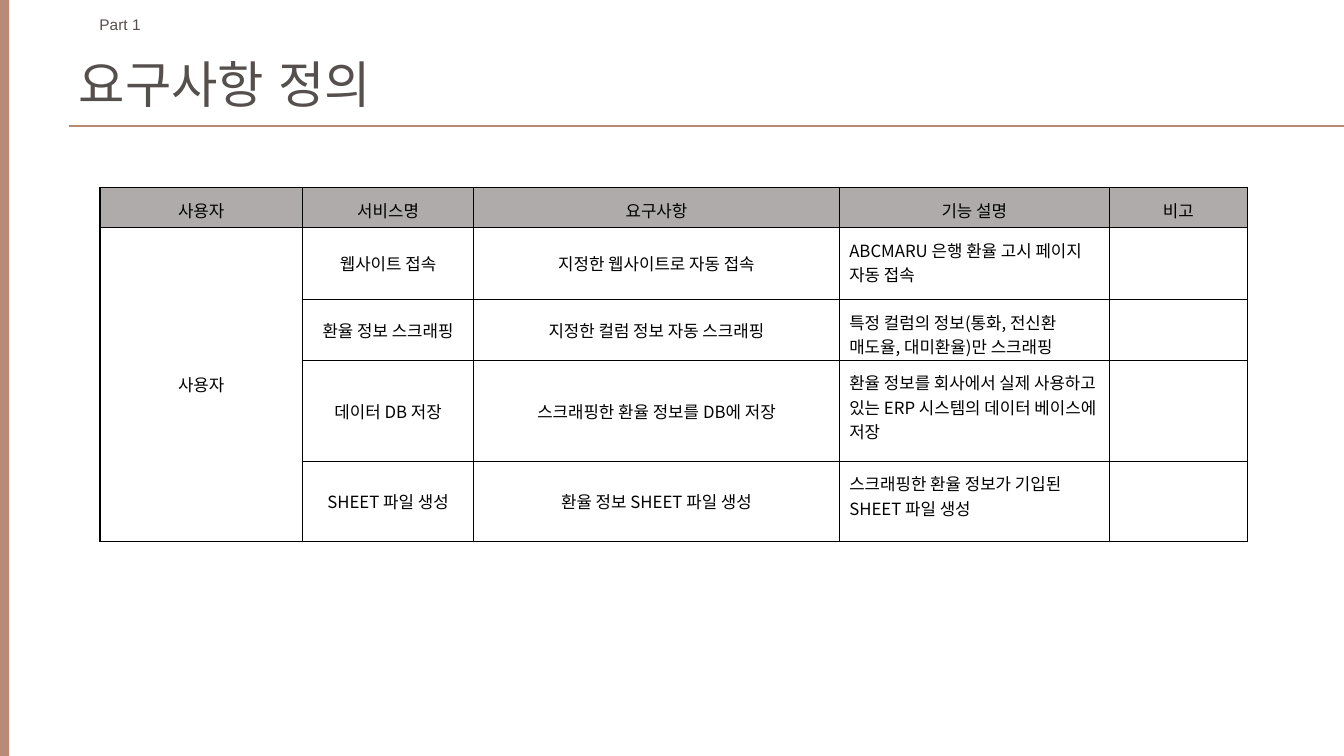
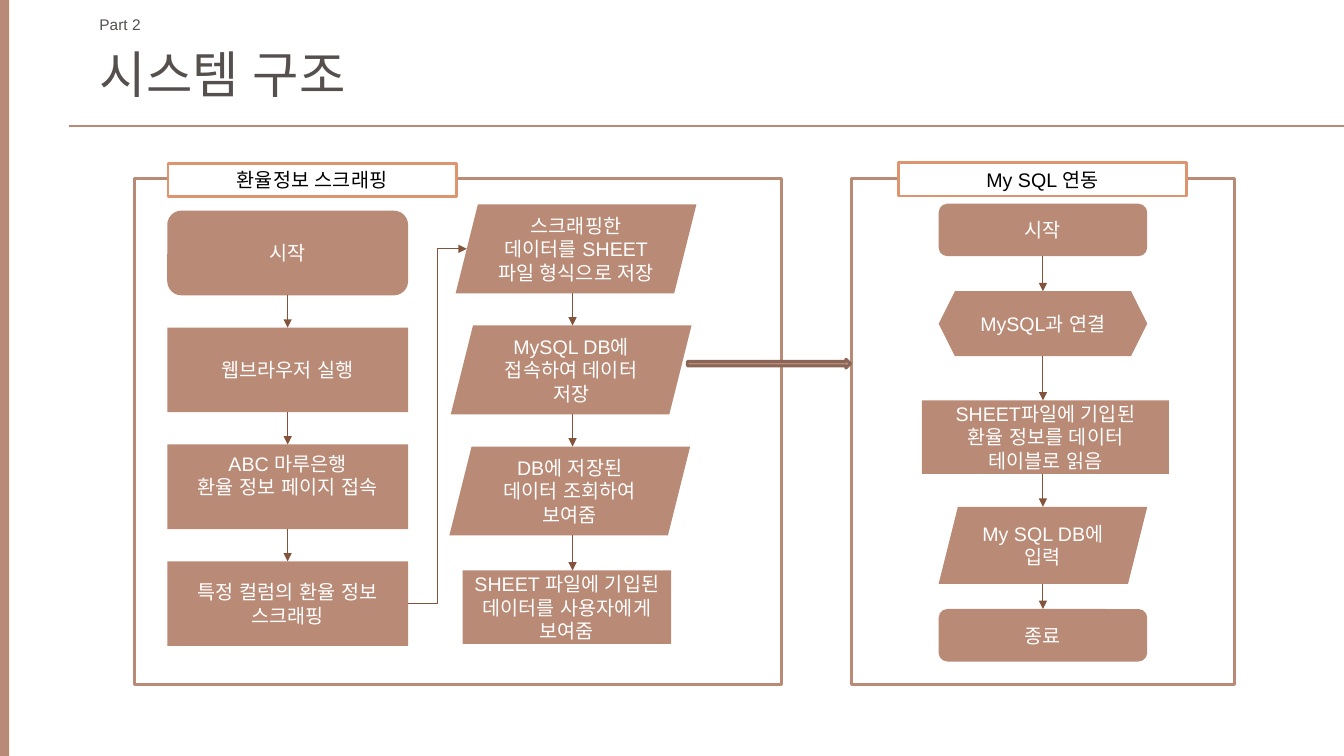
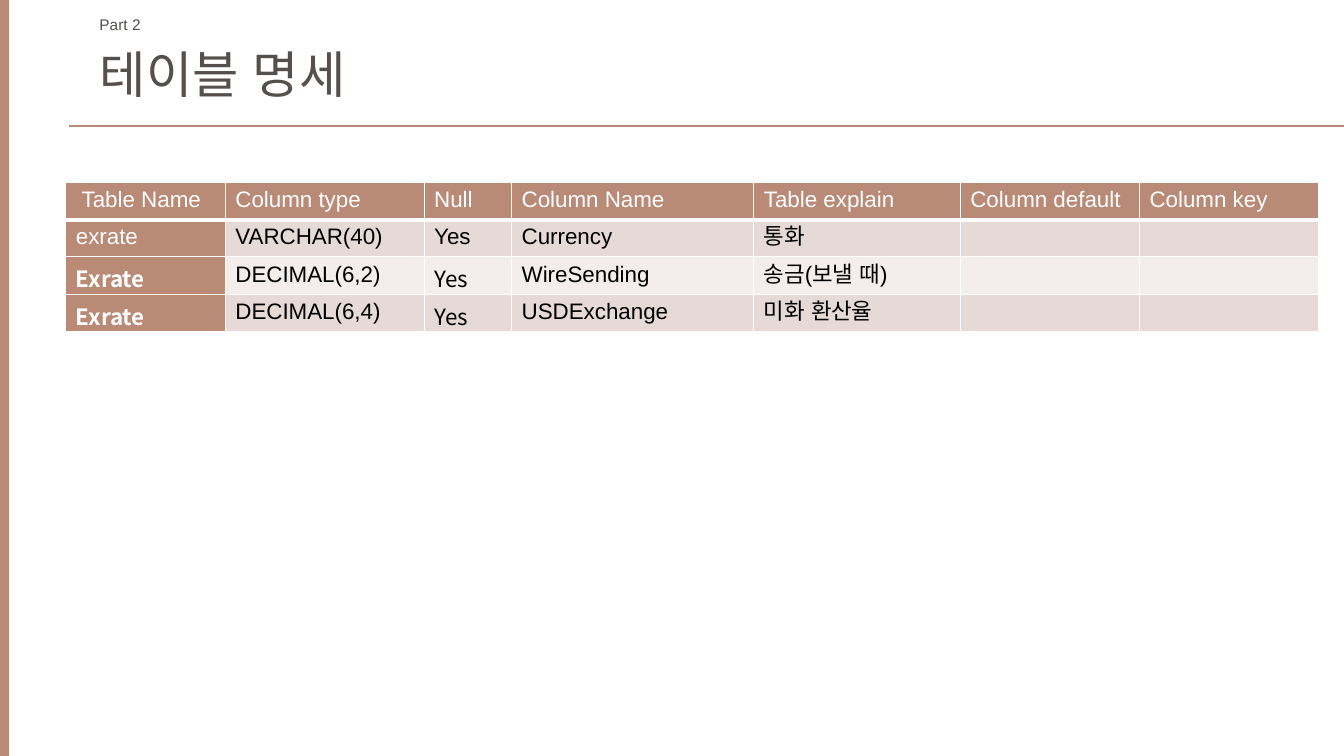
from lxml import etree
from pptx import Presentation
from pptx.dml.color import RGBColor
from pptx.enum.shapes import MSO_CONNECTOR, MSO_SHAPE
from pptx.enum.text import MSO_ANCHOR, MSO_AUTO_SIZE, PP_ALIGN
from pptx.oxml.ns import qn
from pptx.util import Pt

RECT, ROUND = MSO_SHAPE.RECTANGLE, MSO_SHAPE.ROUNDED_RECTANGLE
SLANT, HEX = MSO_SHAPE.PARALLELOGRAM, MSO_SHAPE.HEXAGON
ARROW = MSO_SHAPE.RIGHT_ARROW
LINE, ELBOW = MSO_CONNECTOR.STRAIGHT, MSO_CONNECTOR.ELBOW
TOP, MID = MSO_ANCHOR.TOP, MSO_ANCHOR.MIDDLE
LEFT, CENTER = PP_ALIGN.LEFT, PP_ALIGN.CENTER
FIXED = MSO_AUTO_SIZE.NONE

WIDE, HIGH = 960, 540
CLAY, RUST, ORANGE, BROWN = "B98A76", "84533C", "DE956D", "896657"
INK, BLACK, WHITE, GRAY = "554F4D", "000000", "FFFFFF", "AFABAB"
ROSE, PALE = "E6DAD6", "F3EDEC"
SANS, NOTO = "Arial", "Noto Sans CJK KR"


def tint(code):
    return RGBColor.from_string(code)


def bounds(item):
    """Return left, top, right and bottom in points."""
    x, y, w, h = (n / Pt(1) for n in
                  (item.left, item.top, item.width, item.height))
    return x, y, x + w, y + h


def write(par, text, size, color, font=SANS, bold=False, align=LEFT):
    par.alignment = align
    run = par.add_run()
    run.text = text
    face = run.font
    face.size, face.name, face.bold = Pt(size), font, bold
    face.color.rgb = tint(color)
    etree.SubElement(run._r.get_or_add_rPr(), qn("a:ea"), typeface=font)


def shape(slide, kind, box, fill, line=None):
    item = slide.shapes.add_shape(kind, *map(Pt, box))
    item.shadow.inherit = False
    item.fill.solid()
    item.fill.fore_color.rgb = tint(fill)
    if line:
        item.line.color.rgb = tint(line)
        item.line.width = Pt(2)
    else:
        item.line.fill.background()
    return item


def label(item, lines, color):
    frame = item.text_frame
    frame.word_wrap = True
    frame.vertical_anchor = MID
    for i, text in enumerate(lines):
        par = frame.add_paragraph() if i else frame.paragraphs[0]
        write(par, text, 14, color, align=CENTER)


def link(slide, kind, ends, color, head=True):
    wire = slide.shapes.add_connector(kind, *map(Pt, ends))
    wire.line.color.rgb = tint(color)
    wire.line.width = Pt(0.75)
    if head:
        etree.SubElement(wire.line._get_or_add_ln(), qn("a:tailEnd"),
                         type="triangle")
    etree.SubElement(wire._element.spPr, qn("a:effectLst"))
    return wire


def frame(deck, part, title, left, top):
    """Add a slide with the side bar, rule, part label and title."""
    slide = deck.slides.add_slide(deck.slide_layouts[5])
    shape(slide, RECT, (0, 0, 6.5, HIGH), CLAY)
    link(slide, LINE, (49, 90, WIDE, 90), CLAY, False)
    head = slide.shapes.title
    head.left, head.top, head.width, head.height = map(
        Pt, (left, top, 258, 51))
    tag = slide.shapes.add_textbox(*map(Pt, (64, 7, 44, 21)))
    for item, text, size in ((head, title, 36), (tag, part, 11)):
        body = item.text_frame
        body.auto_size = FIXED
        body.word_wrap = False
        body.vertical_anchor = TOP
        write(body.paragraphs[0], text, size, INK)
    return slide


def edge(cell, color, sides):
    props = cell._tc.get_or_add_tcPr()
    for i, (side, width) in enumerate(sides):
        ln = etree.Element(qn("a:ln" + side), w=str(Pt(width)))
        fill = etree.SubElement(ln, qn("a:solidFill"))
        etree.SubElement(fill, qn("a:srgbClr"), val=color)
        props.insert(i, ln)


def grid(slide, left, top, cols, rows, color, rule, style):
    """Add a table; style(row, col) gives fill, text format, anchor, inset."""
    shell = slide.shapes.add_table(len(rows), len(cols), Pt(left), Pt(top),
                                   Pt(sum(cols)), Pt(sum(h for h, _ in rows)))
    table = shell.table
    table.first_row = table.horz_banding = False
    for col, width in zip(table.columns, cols):
        col.width = Pt(width)
    for r, (height, texts) in enumerate(rows):
        table.rows[r].height = Pt(height)
        for c, text in enumerate(texts):
            cell = table.cell(r, c)
            fill, form, anchor, pad = style(r, c)
            cell.vertical_anchor = anchor
            cell.margin_top = Pt(pad)
            cell.margin_bottom = Pt(pad if anchor == MID else 0)
            if fill:
                cell.fill.solid()
                cell.fill.fore_color.rgb = tint(fill)
            else:
                cell.fill.background()
            par = cell.text_frame.paragraphs[0]
            if text:
                write(par, text, **form)
            else:
                etree.SubElement(par._p, qn("a:endParaRPr"),
                                 sz=str(form["size"] * 100))
            edge(cell, color, (("L", 1), ("R", 1),
                               ("T", rule if r == 1 else 1),
                               ("B", rule if r == 0 else 1)))
    return table


def needs(deck):
    slide = frame(deck, "Part 1", "요구사항 정의", 49, 34)
    rows = (
        (28.5, ("사용자", "서비스명", "요구사항", "기능 설명", "비고")),
        (51.5, ("사용자", "웹사이트 접속", "지정한 웹사이트로 자동 접속",
                "ABCMARU 은행 환율 고시 페이지 자동 접속", "")),
        (43.5, ("", "환율 정보 스크래핑", "지정한 컬럼 정보 자동 스크래핑",
                "특정 컬럼의 정보(통화, 전신환 매도율, 대미환율)만 스크래핑", "")),
        (72, ("", "데이터 DB 저장", "스크래핑한 환율 정보를 DB에 저장",
              "환율 정보를 회사에서 실제 사용하고 있는 ERP 시스템의 "
              "데이터 베이스에 저장", "")),
        (57.5, ("", "SHEET 파일 생성", "환율 정보 SHEET 파일 생성",
                "스크래핑한 환율 정보가 기입된 SHEET 파일 생성", "")),
    )

    def style(r, c):
        form = dict(size=12, color=BLACK, font=NOTO,
                    align=LEFT if r and c == 3 else CENTER)
        return (None if r else GRAY, form, MID if r and c < 3 else TOP, 7.2)

    table = grid(slide, 71.5, 134, (144.5, 122.5, 261, 193, 98.5), rows,
                 BLACK, 1, style)
    table.cell(1, 0).merge(table.cell(4, 0))


def panel(slide, box, tag, name):
    """Draw an outlined panel with a name tag on its top edge."""
    x, y, _, _ = box
    shape(slide, RECT, box, WHITE, CLAY)
    dx, dy = tag
    label(shape(slide, RECT, (x + dx, y + dy, 206, 24), WHITE, ORANGE),
          (name,), BLACK)


def chain(slide, box, axis, steps):
    """Place steps inside the box and join them by arrows along the axis."""
    x, y, _, _ = box
    axis += x
    made = []
    for kind, dx, dy, w, h, *lines in steps:
        item = shape(slide, kind, (x + dx, y + dy, w, h), CLAY)
        label(item, lines, WHITE)
        made.append(item)
    for a, b in zip(made, made[1:]):
        wire = link(slide, LINE, (axis, bounds(a)[3], axis, bounds(b)[1]),
                    RUST)
        for item, join, site in ((a, wire.begin_connect, 2),
                                 (b, wire.end_connect, 0)):
            left, _, right, _ = bounds(item)
            near = abs((left + right) / 2 - axis) < 1
            if item.auto_shape_type in (RECT, ROUND) and near:
                join(item, site)
    return made


def flow(deck):
    slide = frame(deck, "Part 2", "시스템 구조", 64, 27.5)
    scrape = (96, 127.5, 462, 361.5)
    store = (608.5, 127.5, 273.5, 361.5)
    panel(slide, scrape, (24, -11), "환율정보 스크래핑")
    panel(slide, store, (33, -11.5), "My SQL 연동")

    texts = (("시작",), ("웹브라우저 실행",),
             ("ABC 마루은행", "환율 정보 페이지 접속"),
             ("특정 컬럼의 환율 정보", "스크래핑"))
    fetch = chain(slide, scrape, 109.5, [
        (RECT if i else ROUND, 23.5, 23 + 83.5 * i, 172, 60.5, *lines)
        for i, lines in enumerate(texts)])
    fetch[2].text_frame.margin_bottom = Pt(20)

    save = chain(slide, scrape, 313, (
        (SLANT, 229.5, 18.5, 172, 63.5,
         "스크래핑한 데이터를 SHEET 파일 형식으로 저장"),
        (SLANT, 226, 105, 172, 63.5, "MySQL DB에 접속하여 데이터 저장"),
        (SLANT, 225, 191.5, 172, 63.5, "DB에 저장된 데이터 조회하여 보여줌"),
        (RECT, 234.5, 280, 149, 52.5,
         "SHEET 파일에 기입된 데이터를 사용자에게 보여줌")))

    _, top, right, low = bounds(fetch[-1])
    left, roof, _, base = bounds(save[0])
    bend = link(slide, ELBOW, (right, (top + low) / 2,
                               left + (base - roof) / 8,
                               (roof + base) / 2), RUST)
    bend.begin_connect(fetch[-1], 3)

    chain(slide, store, 136.5, (
        (ROUND, 62, 18, 149, 37.5, "시작"),
        (HEX, 62, 80.5, 149, 46.5, "MySQL과 연결"),
        (RECT, 50, 158.5, 176.5, 52.5,
         "SHEET파일에 기입된", "환율 정보를 데이터 테이블로 읽음"),
        (SLANT, 62, 234.5, 149, 55, "My SQL DB에 입력"),
        (ROUND, 62, 307.5, 149, 37.5, "종료")))
    shape(slide, ARROW, (491, 256.5, 116.5, 6.5), CLAY, BROWN)


def fields(deck):
    slide = frame(deck, "Part 2", "테이블 명세", 64, 27.5)
    rows = (
        (27, (" Table Name", "Column type", "Null", "Column Name",
              "Table explain", "Column default", "Column key")),
        (26.5, ("exrate", "VARCHAR(40)", "Yes", "Currency", "통화", "", "")),
        (26.5, ("Exrate", "DECIMAL(6,2)", "Yes", "WireSending",
                "송금(보낼 때)", "", "")),
        (26.5, ("Exrate", "DECIMAL(6,4)", "Yes", "USDExchange",
                "미화 환산율", "", "")),
    )

    def style(r, c):
        dark = r == 0 or c == 0
        form = dict(size=16, color=WHITE if dark else BLACK,
                    font=NOTO if r > 1 and c in (0, 2) else SANS,
                    bold=r > 1 and c == 0)
        return CLAY if dark else (PALE, ROSE)[r % 2], form, TOP, 3.6

    grid(slide, 47, 130, (114, 142, 62.5, 173, 147.5, 128, 128), rows,
         WHITE, 3, style)


def main():
    deck = Presentation()
    deck.slide_width, deck.slide_height = Pt(WIDE), Pt(HIGH)
    needs(deck)
    flow(deck)
    fields(deck)
    deck.save("out.pptx")


if __name__ == "__main__":
    main()
